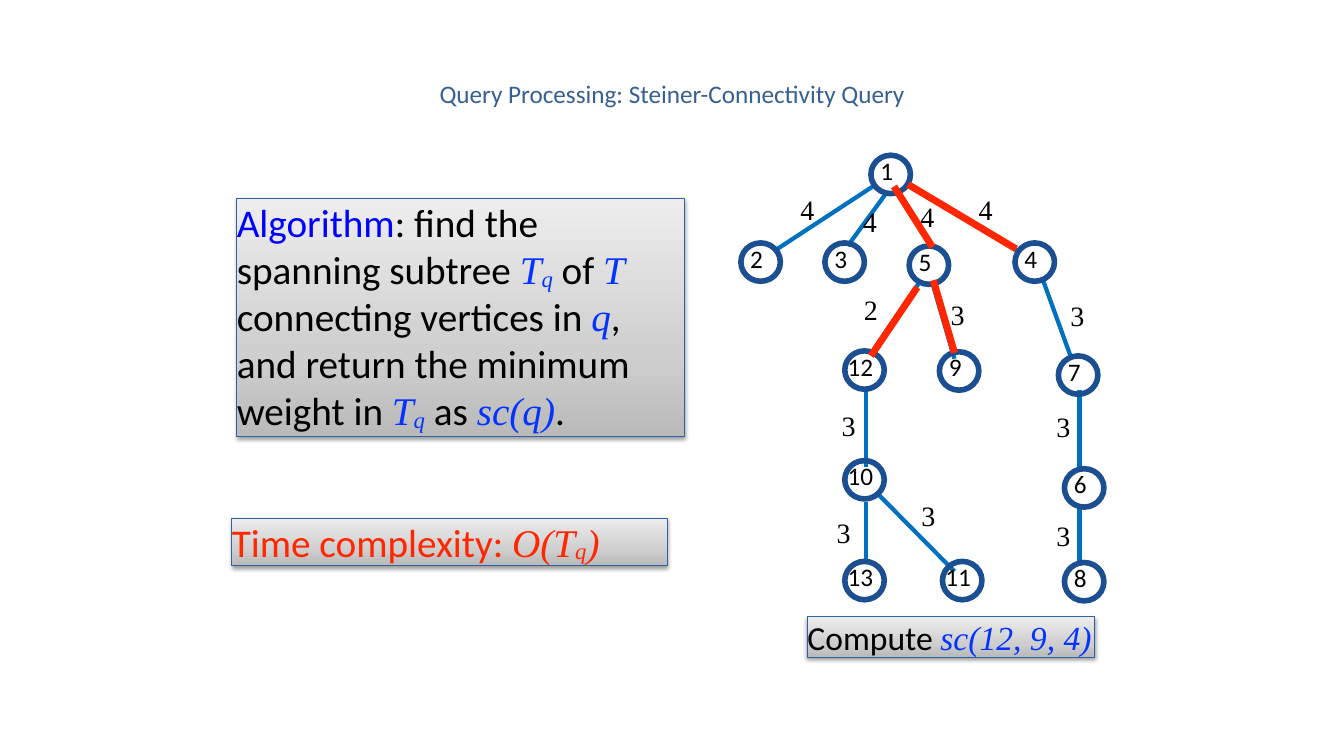
from lxml import etree
from pptx import Presentation, util as u
from pptx.dml.color import RGBColor
from pptx.enum import shapes, text
from pptx.oxml import ns

# Content: runs are (text, style)
TITLE = [("Query Processing: Steiner-Connectivity Query", "title")]
ALGORITHM = [
    ("Algorithm", "term"), (": find the spanning subtree ", "plain"),
    ("T", "math"), ("q", "sub"), (" of ", "plain"), ("T", "math"),
    (" connecting vertices in ", "plain"), ("q", "math"),
    (", and return the minimum weight in ", "plain"),
    ("T", "math"), ("q", "sub"), (" as ", "plain"), ("sc(q)", "math"), (".", "plain"),
]
COMPLEXITY = [("Time complexity: ", "alert"), ("O(T", "alert math"),
              ("q", "alert sub"), (")", "alert math")]
EXAMPLE = [("Compute ", "plain"), ("sc(12, 9, 4)", "math")]

# Panels: runs, (left, top, width, height), size, wrap
PANELS = [
    (ALGORITHM, (169.2, 141.8, 319.7, 169.9), "body", True),
    (COMPLEXITY, (165.6, 370.1, 311, 33.8), "body", True),
    (EXAMPLE, (576.7, 440.6, 205.2, 28.8), "example", False),
]

# Tree vertices: number -> left, top
VERTICES = {
    1: (622.1, 110.9),
    2: (529.2, 173.5), 3: (589.2, 173.5), 5: (649.4, 175.7), 4: (725, 173.5),
    12: (603.4, 250.6), 9: (671, 251.3), 7: (756, 254.2),
    10: (603.4, 329), 6: (760.3, 334.8),
    13: (603.4, 401), 11: (673.2, 401), 8: (760.3, 401.8),
}

# Tree edges: ends, weight, left and top of the weight
EDGES = [
    ((623.5, 133.2, 553, 179.3), 4, (571.7, 137.5)),
    ((632.9, 138.2, 605.5, 175.7), 4, (616.3, 146.2)),
    ((639.4, 134.6, 666.7, 177.1), 4, (657.4, 142.6)),
    ((650.2, 132.5, 727.2, 179.3), 4, (699.1, 137.5)),
    ((655.9, 203, 622.8, 252), 2, (617, 208.8)),
    ((666.7, 204.5, 681.8, 256.3), 3, (679, 212.4)),
    ((744.5, 198.7, 765.4, 256.3), 3, (764.6, 213.1)),
    ((618.5, 277.9, 618.5, 333.4), 3, (601.2, 291.6)),
    ((771.1, 278.6, 771.1, 334.1), 3, (754.6, 292.3)),
    ((618.5, 358.6, 618.5, 399.6), 3, (597.6, 367.9)),
    ((625.7, 351.4, 681.8, 408.2), 3, (658.1, 356.4)),
    ((771.1, 361.4, 771.1, 402.5), 3, (754.6, 370.1)),
]

# Spanning subtree of the query vertices 12, 9 and 4
SUBTREE = [
    (648.7, 131.8, 725.8, 177.8),
    (638.6, 133.2, 666, 176.4),
    (655.2, 205.2, 622.1, 254.2),
    (666.7, 200.2, 681.8, 252),
]

SANS, SERIF = "Calibri", "Times New Roman"
THEME = {
    "size": {"title": 18, "body": 28, "example": 24, "vertex": 18, "weight": 20},
    # style: font, colour, italic, subscript
    "style": {
        "title": (SANS, "376092", False, False),
        "plain": (SANS, "000000", False, False),
        "term": (SANS, "0000FF", False, False),
        "math": (SERIF, "0433FF", True, False),
        "sub": (SERIF, "0433FF", True, True),
        "alert": (SANS, "FF2600", False, False),
        "alert math": (SERIF, "FF2600", True, False),
        "alert sub": (SERIF, "FF2600", True, True),
        "weight": (SERIF, "000000", False, False),
    },
    "edge": ("0070C0", 3),
    "subtree": ("FF2600", 5),
    "vertex": ("1B4F91", 4),
    "panel": ("2F62A3", 0.75),
    "gradient": [(0, "BABABA"), (35, "CFCFCF"), (100, "EDEDED")],
}
VERTEX_SIZE = (28.2, 27.4)

deck = Presentation()
deck.slide_width, deck.slide_height = u.Pt(960), u.Pt(540)
page = deck.slides.add_slide(deck.slide_layouts[5])


def points(values):
    return [u.Pt(value) for value in values]


def write(box, runs, size="body", align=text.PP_ALIGN.LEFT,
          anchor=text.MSO_ANCHOR.TOP, wrap=True):
    frame = box.text_frame
    frame.word_wrap = wrap
    frame.auto_size = text.MSO_AUTO_SIZE.NONE
    frame.vertical_anchor = anchor
    frame.margin_left = frame.margin_right = frame.margin_top = frame.margin_bottom = 0
    para = frame.paragraphs[0]
    para.alignment = align
    for words, style in runs:
        face, color, italic, subscript = THEME["style"][style]
        span = para.add_run()
        span.text = words
        span.font.name, span.font.size = face, u.Pt(THEME["size"][size])
        span.font.italic = italic
        span.font.color.rgb = RGBColor.from_string(color)
        if subscript:
            span.font._element.set("baseline", "-6000")


def stroke(line, look):
    color, width = look
    line.color.rgb = RGBColor.from_string(color)
    line.width = u.Pt(width)


def add_color(parent, value, **children):
    color = etree.SubElement(parent, ns.qn("a:srgbClr"), val=value)
    for name, amount in children.items():
        etree.SubElement(color, ns.qn("a:" + name), val=str(amount))


def add_panel(runs, place, size, wrap):
    box = page.shapes.add_shape(shapes.MSO_SHAPE.RECTANGLE, *points(place))
    box.shadow.inherit = False
    stroke(box.line, THEME["panel"])
    box.fill.gradient()
    box.fill.gradient_angle = 90
    properties = box._element.spPr
    stops = properties.find(".//" + ns.qn("a:gsLst"))
    for stop in list(stops):
        stops.remove(stop)
    for position, color in THEME["gradient"]:
        stop = etree.SubElement(stops, ns.qn("a:gs"), pos=str(position * 1000))
        add_color(stop, color)
    effects = properties.find(ns.qn("a:effectLst"))
    shadow = etree.SubElement(effects, ns.qn("a:outerShdw"), blurRad=str(u.Pt(3)),
                              dist=str(u.Pt(1.6)), dir="5400000", rotWithShape="0")
    add_color(shadow, "000000", alpha=38000)
    write(box, runs, size=size, wrap=wrap)


def add_edge(ends, look):
    edge = page.shapes.add_connector(shapes.MSO_CONNECTOR.STRAIGHT, *points(ends))
    stroke(edge.line, look)
    etree.SubElement(edge._element.spPr, ns.qn("a:effectLst"))


def add_label(place, value, **form):
    style = "weight" if form["size"] == "weight" else "plain"
    write(page.shapes.add_textbox(*points(place)), [(str(value), style)], **form)


# Title
title = page.shapes.title
title.left, title.top, title.width, title.height = points((156.2, 21.6, 648, 90))
write(title, TITLE, size="title", align=text.PP_ALIGN.CENTER, anchor=text.MSO_ANCHOR.MIDDLE)

# Tree edges
for ends, _, _ in EDGES:
    add_edge(ends, THEME["edge"])

# Tree vertices
for number, (left, top) in VERTICES.items():
    ring = page.shapes.add_shape(shapes.MSO_SHAPE.OVAL, *points((left, top, *VERTEX_SIZE)))
    ring.shadow.inherit = False
    ring.fill.background()
    stroke(ring.line, THEME["vertex"])
    indent = 6.7 if number < 10 else 2
    add_label((left + indent, top, 28.2, 21.6), number, size="vertex")

# Edge weights
for _, weight, (left, top) in EDGES:
    add_label((left, top, 10, 24.4), weight, size="weight", wrap=False)

# Text panels
for panel in PANELS:
    add_panel(*panel)

# Highlighted subtree
for ends in SUBTREE:
    add_edge(ends, THEME["subtree"])

deck.save("out.pptx")
